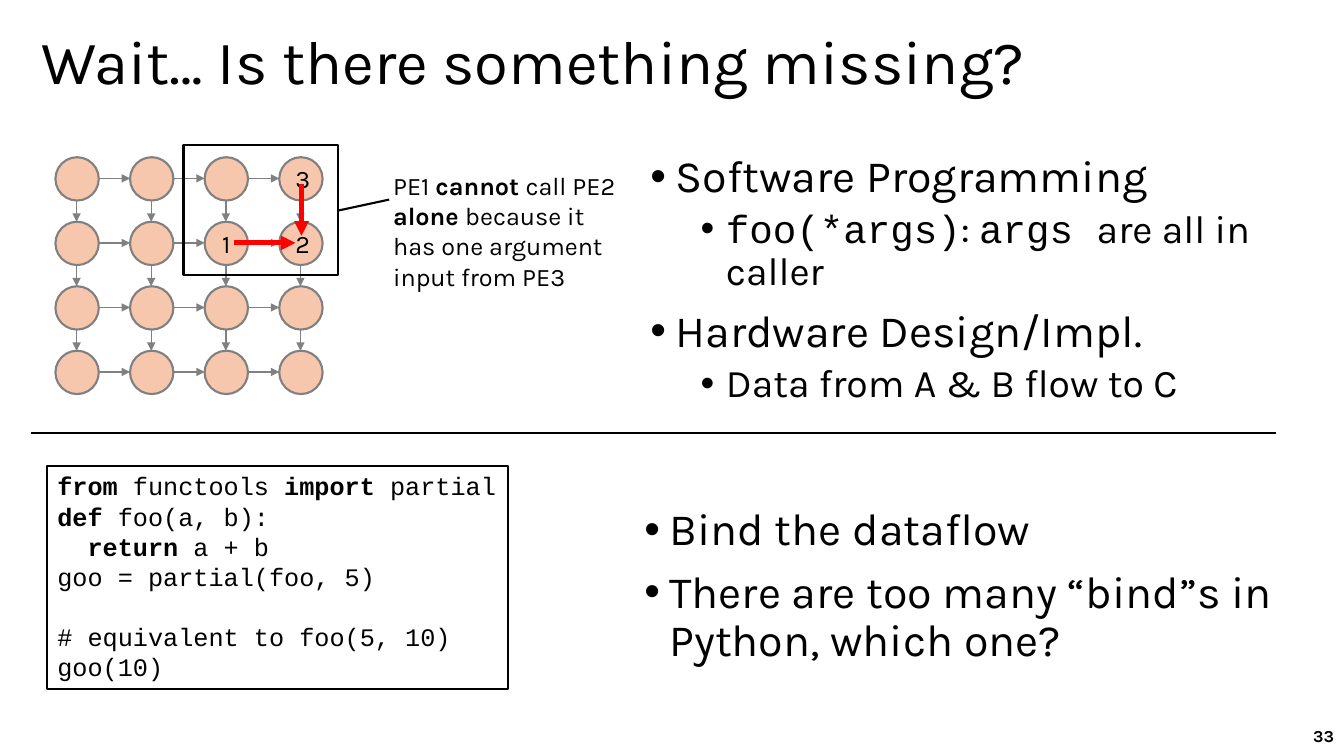
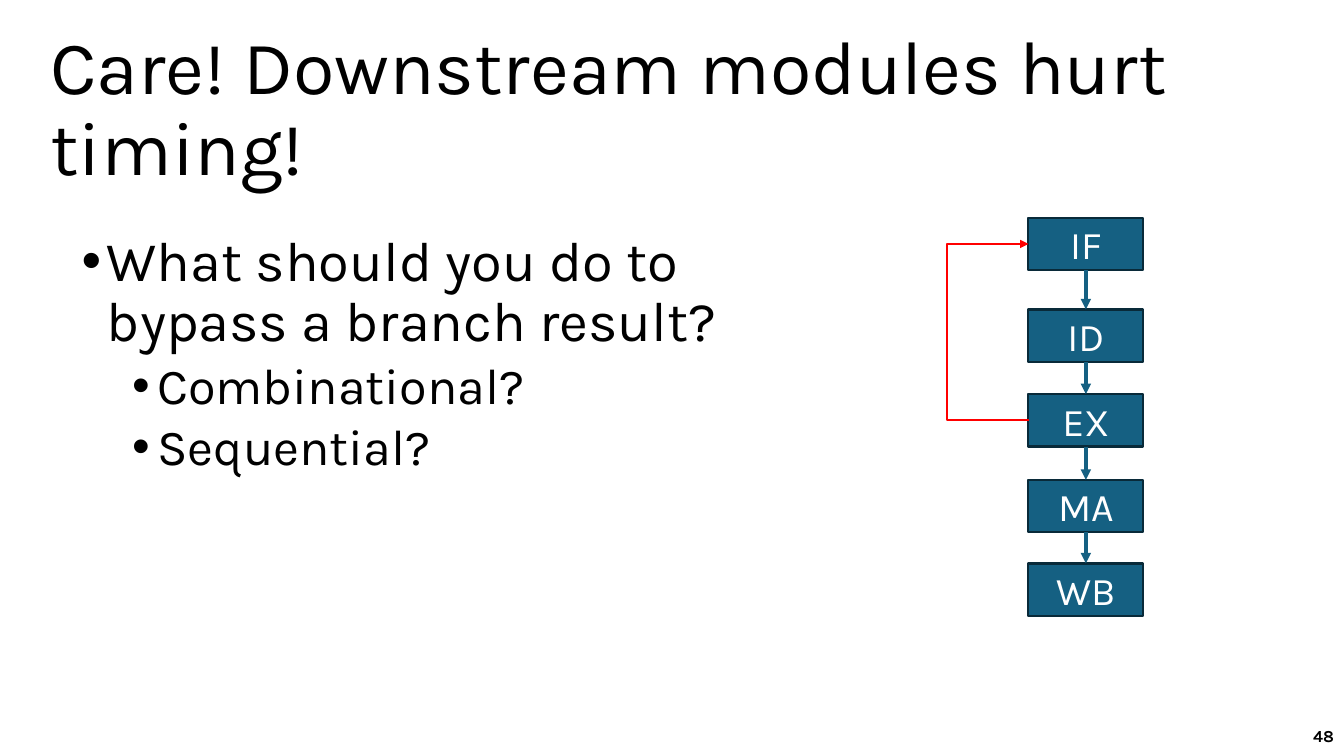
import dataclasses

import pptx
import pptx.dml.color
import pptx.enum.shapes
import pptx.enum.text
import pptx.oxml
import pptx.oxml.ns
import pptx.util

EMU_PER_PX = 9144  # 100 px to the inch

SHAPE = pptx.enum.shapes.MSO_SHAPE
CONNECTOR = pptx.enum.shapes.MSO_CONNECTOR
ALIGN = pptx.enum.text.PP_ALIGN
ANCHOR = pptx.enum.text.MSO_ANCHOR
AUTO_SIZE = pptx.enum.text.MSO_AUTO_SIZE


@dataclasses.dataclass(frozen=True)
class Theme:
    font: str = "Karla"
    mono: str = "Courier New"
    ink: str = "000000"
    paper: str = "FFFFFF"
    node: str = "F6C6AD"
    wire: str = "808080"
    stage: str = "156082"
    stage_edge: str = "092A39"
    accent: str = "FF0000"
    small: int = 18
    label: int = 28
    number: int = 12
    hairline: float = 1
    outline: float = 1.5
    flow: float = 2.5
    heavy: float = 3.5


THEME = Theme()


def px(n):
    return pptx.util.Emu(n * EMU_PER_PX)


def rgb(value):
    return pptx.dml.color.RGBColor.from_string(value)


# Text
def add_run(p, text, size, color=THEME.ink, font=THEME.font, bold=False):
    r = p.add_run()
    r.text = text
    r.font.size = pptx.util.Pt(size)
    r.font.name = font
    r.font.bold = bold
    r.font.color.rgb = rgb(color)


def next_paragraph(tf, i):
    return tf.paragraphs[0] if i == 0 else tf.add_paragraph()


def place(sp, box):
    sp.left, sp.top, sp.width, sp.height = map(px, box)


def add_text(slide, box, runs, size, align=ALIGN.LEFT, anchor=ANCHOR.TOP):
    """Each run is (text, bold)."""
    tf = slide.shapes.add_textbox(*map(px, box)).text_frame
    tf.word_wrap = True
    tf.vertical_anchor = anchor
    p = tf.paragraphs[0]
    p.alignment = align
    for text, bold in runs:
        add_run(p, text, size, bold=bold)


def set_title(slide, box, text, size):
    sp = slide.shapes.title
    place(sp, box)
    tf = sp.text_frame
    tf.auto_size = AUTO_SIZE.NONE
    tf.vertical_anchor = ANCHOR.MIDDLE
    p = tf.paragraphs[0]
    p.alignment = ALIGN.LEFT
    p.line_spacing = 0.9
    add_run(p, text, size)


def set_bullet(p, level):
    p.level = level
    p.line_spacing = 0.9
    p.space_before = pptx.util.Pt(5 if level else 10)
    pPr = p._p.get_or_add_pPr()
    pPr.set("marL", str(px(25 + 50 * level)))
    pPr.set("indent", str(px(-25)))
    ns = pptx.oxml.ns.nsdecls("a")
    pPr.append(pptx.oxml.parse_xml(f'<a:buFont {ns} typeface="Arial"/>'))
    pPr.append(pptx.oxml.parse_xml(f'<a:buChar {ns} char="•"/>'))


def set_list(sp, box, items, sizes):
    """Each item is (level, [(text, font), ...]); sizes go by level."""
    place(sp, box)
    tf = sp.text_frame
    tf.auto_size = AUTO_SIZE.NONE
    tf.vertical_anchor = ANCHOR.TOP
    for i, (level, runs) in enumerate(items):
        p = next_paragraph(tf, i)
        set_bullet(p, level)
        for text, font in runs:
            add_run(p, text, sizes[level], font=font)


def plain(level, text):
    return level, [(text, THEME.font)]


# Shapes and lines
def add_box(slide, kind, box, fill, line, label="", size=THEME.small, color=THEME.ink):
    sp = slide.shapes.add_shape(kind, *map(px, box))
    sp.shadow.inherit = False
    if fill:
        sp.fill.solid()
        sp.fill.fore_color.rgb = rgb(fill)
    else:
        sp.fill.background()
    sp.line.color.rgb = rgb(line)
    sp.line.width = pptx.util.Pt(THEME.outline)
    if label:
        p = sp.text_frame.paragraphs[0]
        p.alignment = ALIGN.CENTER
        add_run(p, label, size, color)
    return sp


def add_line(slide, start, end, color, width, arrow=True, kind=CONNECTOR.STRAIGHT):
    cxn = slide.shapes.add_connector(kind, *map(px, start + end))
    cxn.line.color.rgb = rgb(color)
    cxn.line.width = pptx.util.Pt(width)
    ns = pptx.oxml.ns.nsdecls("a")
    if arrow:
        cxn.line._get_or_add_ln().append(
            pptx.oxml.parse_xml(f'<a:tailEnd {ns} type="triangle"/>'))
    cxn._element.spPr.append(pptx.oxml.parse_xml(f"<a:effectLst {ns}/>"))
    return cxn


def add_feedback(slide, right, top, bottom, reach):
    """Elbow arrow leaving leftwards at bottom and coming back in at top."""
    cxn = add_line(slide, (right, top), (right + 1, bottom), THEME.accent,
                   THEME.outline, kind=CONNECTOR.ELBOW)
    spPr = cxn._element.spPr
    spPr.find(pptx.oxml.ns.qn("a:xfrm")).set("rot", str(180 * 60000))
    geom = spPr.find(pptx.oxml.ns.qn("a:prstGeom"))
    for old in list(geom):
        geom.remove(old)
    # The bend is a share of the 1 px width
    ns = pptx.oxml.ns.nsdecls("a")
    geom.append(pptx.oxml.parse_xml(
        f'<a:avLst {ns}><a:gd name="adj1" fmla="val {reach * 100000}"/></a:avLst>'))


def add_pe_grid(slide, left, top, labels):
    count, size, half, pitch_x, pitch_y = 4, 43, 21, 74, 64
    for row in range(count):
        for col in range(count):
            x, y = left + col * pitch_x, top + row * pitch_y
            add_box(slide, SHAPE.OVAL, (x, y, size, size), THEME.node, THEME.wire,
                    labels.get((row, col), ""))
            if col < count - 1:
                add_line(slide, (x + size, y + half), (x + pitch_x, y + half),
                         THEME.wire, THEME.hairline)
            if row < count - 1:
                add_line(slide, (x + half, y + size), (x + half, y + pitch_y),
                         THEME.wire, THEME.hairline)


def add_code(slide, box, lines):
    """Each line is (indent px, space before in points, [(text, bold), ...])."""
    tf = add_box(slide, SHAPE.RECTANGLE, box, THEME.paper, THEME.ink).text_frame
    tf.word_wrap = False
    tf.vertical_anchor = ANCHOR.TOP
    for i, (indent, before, runs) in enumerate(lines):
        p = next_paragraph(tf, i)
        p.alignment = ALIGN.LEFT
        p.space_before = pptx.util.Pt(before)
        p._p.get_or_add_pPr().set("marL", str(px(indent)))
        for text, bold in runs:
            add_run(p, text, THEME.small, font=THEME.mono, bold=bold)


# Slides
def new_slide(prs, layout, title_box, title, title_size, number):
    slide = prs.slides.add_slide(prs.slide_layouts.get_by_name(layout))
    set_title(slide, title_box, title, title_size)
    add_text(slide, (1033, 710, 300, 40), [(number, True)], THEME.number,
             ALIGN.RIGHT, ANCHOR.MIDDLE)
    return slide


def build_missing(prs):
    slide = new_slide(prs, "Two Content", (31, 11, 1190, 107),
                      "Wait… Is there something missing?", 44, "33")
    sizes = (32, 28)
    set_list(slide.placeholders[1], (635, 148, 704, 273), [
        plain(0, "Software Programming"),
        (1, [("foo(*args)", THEME.mono), (": ", THEME.font),
             ("args ", THEME.mono), ("are all in caller", THEME.font)]),
        plain(0, "Hardware Design/Impl."),
        plain(1, "Data from A & B flow to C"),
    ], sizes)
    set_list(slide.placeholders[2], (629, 498, 670, 176), [
        plain(0, "Bind the dataflow"),
        plain(0, "There are too many “bind”s in Python, which one?"),
    ], sizes)

    # Processing elements and the highlighted corner
    add_pe_grid(slide, 55, 156, {(0, 3): "3", (1, 2): "1", (1, 3): "2"})
    add_box(slide, SHAPE.RECTANGLE, (182, 144, 153, 129), None, THEME.ink)
    add_line(slide, (335, 209), (386, 198), THEME.ink, THEME.outline, arrow=False)
    add_text(slide, (380, 164, 249, 131), [
        ("PE1 ", False), ("cannot ", True), ("call PE2 ", False), ("alone ", True),
        ("because it has one argument input from PE3", False)], THEME.small)
    add_line(slide, (299, 183), (299, 234), THEME.accent, THEME.heavy)
    add_line(slide, (232, 241), (293, 241), THEME.accent, THEME.heavy)

    # Software counterpart
    add_line(slide, (31, 430), (1266, 430), THEME.ink, THEME.outline, arrow=False)
    add_code(slide, (47, 462, 457, 222), [
        (0, 0, [("from ", True), ("functools ", False),
                ("import ", True), ("partial", False)]),
        (0, 0, [("def ", True), ("foo(a, b):", False)]),
        (30, 0, [("return ", True), ("a + b", False)]),
        (0, 0, [("goo = partial(foo, 5)", False)]),
        (0, 21, [("# equivalent to foo(5, 10)", False)]),
        (0, 0, [("goo(10)", False)]),
    ])


def build_timing(prs):
    slide = new_slide(prs, "Title and Content", (40, 37, 1253, 145),
                      "Care! Downstream modules hurt timing!", 54, "48")
    set_list(slide.placeholders[1], (71, 226, 652, 290), [
        plain(0, "What should you do to bypass a branch result?"),
        plain(1, "Combinational?"),
        plain(1, "Sequential?"),
    ], (40, 36))

    # Pipeline stages
    left, width, height = 1020, 114, 52
    tops = {"IF": 216, "ID": 307, "EX": 391, "MA": 476, "WB": 559}
    stages = [add_box(slide, SHAPE.RECTANGLE, (left, top, width, height), THEME.stage,
                      THEME.stage_edge, name, THEME.label, THEME.paper)
              for name, top in tops.items()]
    for upper, lower in zip(stages, stages[1:]):
        cxn = add_line(slide, (0, 0), (0, 0), THEME.stage, THEME.flow)
        cxn.begin_connect(upper, 2)
        cxn.end_connect(lower, 0)
    add_feedback(slide, left, tops["IF"] + height // 2, tops["EX"] + height // 2, 83)


def main():
    prs = pptx.Presentation()
    prs.slide_width, prs.slide_height = px(1333), px(750)
    build_missing(prs)
    build_timing(prs)
    prs.save("out.pptx")


if __name__ == "__main__":
    main()
